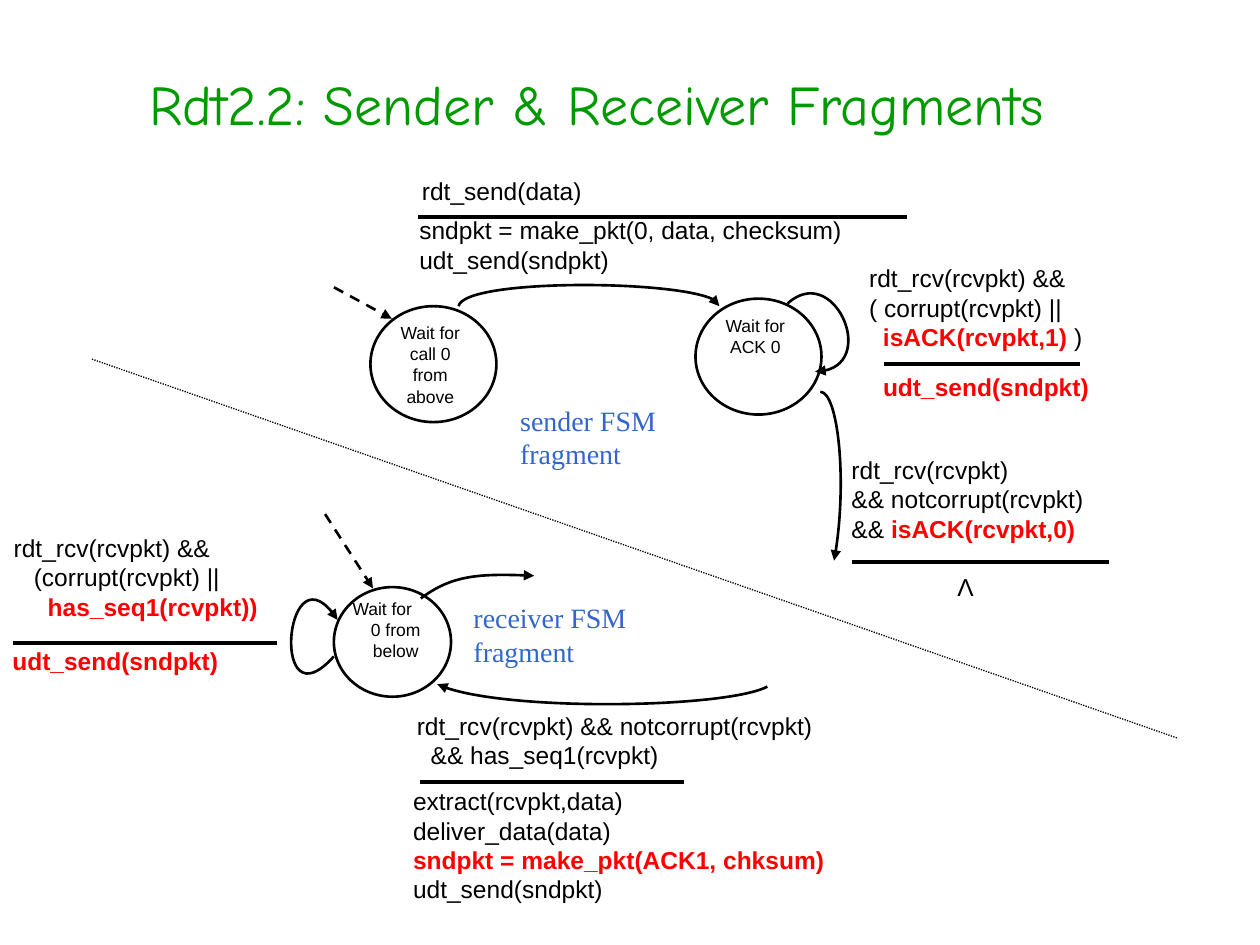
"""Builds the slide on the rdt2.2 sender and receiver state machine fragments."""
import lxml.etree
import pptx
import pptx.dml.color
import pptx.enum.dml
import pptx.enum.shapes
import pptx.enum.text
import pptx.oxml.ns
import pptx.util

Inches = pptx.util.Inches
Pt = pptx.util.Pt
qn = pptx.oxml.ns.qn
ALIGN = pptx.enum.text.PP_ALIGN
DASH = pptx.enum.dml.MSO_LINE
SHAPE = pptx.enum.shapes.MSO_SHAPE

THEME = {
    "ink": "000000", "paper": "FFFFFF", "title": "009900", "accent": "FF0000", "caption": "3366CC",
    "sans": "Arial", "serif": "Times New Roman", "display": "Comic Neue",
    "title_size": 32, "caption_size": 16, "code_size": 14, "state_size": 10,
    "rule": 2.25, "arc": 1.5, "divider": 0.75,
}

TITLE = "Rdt2.2: Sender & Receiver Fragments"

# *starred* text is highlighted; a (text, indent) pair is an indented line
PANELS = [
    ((0.01, 4.18, 2.58, 0.9), ["rdt_rcv(rcvpkt) &&", ("(corrupt(rcvpkt) ||", 0.16),
                               ("*has_seq1(rcvpkt))*", 0.27)]),
    ((0, 5.08, 2.23, 0.45), ["*udt_send(sndpkt)*"]),
]
LABELS = [
    ((3.23, 1.66, 4.07, 0.44), ["sndpkt = make_pkt(0, data, checksum)", "udt_send(sndpkt)"]),
    ((3.25, 1.35, 1.89, 0.31), ["rdt_send(data)"]),
    ((6.91, 2.9, 2.32, 0.44), ["*udt_send(sndpkt)*"]),
    ((6.8, 2.04, 2.97, 0.62), ["rdt_rcv(rcvpkt) &&", "( corrupt(rcvpkt) ||",
                               ("*isACK(rcvpkt,1)* )", 0.11)]),
    ((6.66, 3.56, 2.64, 0.62), ["rdt_rcv(rcvpkt)", "&& notcorrupt(rcvpkt)", "&& *isACK(rcvpkt,0)*"]),
    ((3.21, 5.59, 4.31, 0.62), ["rdt_rcv(rcvpkt) && notcorrupt(rcvpkt)",
                               ("&& has_seq1(rcvpkt)", 0.11)]),
    ((3.18, 6.19, 4.57, 0.76), ["extract(rcvpkt,data)", "deliver_data(data)",
                                "*sndpkt = make_pkt(ACK1, chksum)*", "udt_send(sndpkt)"]),
    ((7.5, 4.49, 0.41, 0.34), ["Λ"]),
]
CAPTIONS = [
    ((4.03, 3.15, 1.29, 0.64), ["sender FSM", "fragment"]),
    ((3.66, 4.72, 1.43, 0.64), ["receiver FSM", "fragment"]),
]
STATES = [
    ((2.94, 2.43, 1, 0.92), (3, 2.51, 0.83, 0.67), ["Wait for call 0 from above"], [ALIGN.CENTER]),
    ((5.52, 2.37, 1, 0.92), (5.58, 2.45, 0.83, 0.67), ["Wait for ACK 0"], [ALIGN.CENTER]),
    ((2.65, 4.66, 0.93, 0.87), (2.7, 4.7, 0.88, 0.67), ["Wait for", "0 from below"],
     [ALIGN.LEFT, ALIGN.CENTER]),
]
RULES = [(3.32, 7.2, 1.72), (7.02, 8.57, 2.89), (6.76, 8.8, 4.46), (3.33, 5.43, 6.21), (0.1, 2.2, 5.1)]
STARTS = [(2.65, 2.28, 3.11, 2.53), (2.58, 4.08, 2.96, 4.67)]
DIVIDER = (0.73, 2.85, 9.35, 5.86)
TRANSITIONS = [
    [(3.64, 2.43), (3.68, 2.21), (5.71, 2.22), (5.71, 2.43)],
    [(6.25, 2.41), (6.61, 2.08), (7, 2.94), (6.47, 2.95)],
    [(6.51, 3.11), (6.65, 3.11), (6.73, 3.85), (6.62, 4.45)],
    [(3.34, 4.75), (3.58, 4.57), (3.82, 4.55), (4.24, 4.57)],
    [(6.09, 5.45), (5.76, 5.62), (3.93, 5.65), (3.47, 5.43)],
    [(2.65, 5.21), (2.15, 5.77), (2.26, 4.28), (2.68, 4.92)],
]


def rgb(name):
    return pptx.dml.color.RGBColor.from_string(THEME[name])


def box(values):
    return [Inches(v) for v in values]


def write(sp, lines, size="code_size", font="sans", color="ink", aligns=(ALIGN.LEFT,),
          anchor=pptx.enum.text.MSO_ANCHOR.TOP, wrap=True):
    tf = sp.text_frame
    tf.word_wrap = wrap
    tf.vertical_anchor = anchor
    for i, line in enumerate(lines):
        text, indent = line if isinstance(line, tuple) else (line, 0)
        p = tf.paragraphs[0] if i == 0 else tf.add_paragraph()
        if indent:
            p._p.get_or_add_pPr().set("marL", str(Inches(indent)))
        p.alignment = aligns[min(i, len(aligns) - 1)]
        for j, part in enumerate(text.split("*")):
            if part:
                r = p.add_run()
                r.text = part
                r.font.name = THEME[font]
                r.font.size = Pt(THEME[size])
                r.font.bold = j % 2 == 1
                r.font.color.rgb = rgb("accent" if j % 2 else color)


def outline(sp, width, dash=None, arrow=False):
    sp.line.color.rgb = rgb("ink")
    sp.line.width = Pt(THEME[width])
    if dash:
        sp.line.dash_style = dash
    if arrow:
        lxml.etree.SubElement(sp.line._get_or_add_ln(), qn("a:tailEnd"), type="triangle")


def add_line(s, ends, width, **style):
    sp = s.shapes.add_connector(pptx.enum.shapes.MSO_CONNECTOR.STRAIGHT, *box(ends))
    outline(sp, width, **style)
    lxml.etree.SubElement(sp._element.spPr, qn("a:effectLst"))


def add_filled(shapes, kind, place):
    sp = shapes.add_shape(kind, *box(place))
    sp.shadow.inherit = False
    sp.fill.solid()
    sp.fill.fore_color.rgb = rgb("paper")
    return sp


def add_curve(s, points):
    start, *rest = [tuple(box(point)) for point in points]
    builder = s.shapes.build_freeform(*start)
    builder.add_line_segments(rest, close=False)
    sp = builder.convert_to_shape()
    sp.shadow.inherit = False
    sp.fill.background()
    outline(sp, "arc", arrow=True)
    segments = list(sp._element.iter(qn("a:lnTo")))
    bezier = lxml.etree.SubElement(segments[0].getparent(), qn("a:cubicBezTo"))
    for segment in segments:
        bezier.append(segment[0])
        segment.getparent().remove(segment)


def main():
    prs = pptx.Presentation()
    prs.slide_width, prs.slide_height = Inches(10), Inches(7.5)
    s = prs.slides.add_slide(prs.slide_layouts[5])

    for place, lines in PANELS:
        sp = add_filled(s.shapes, SHAPE.RECTANGLE, place)
        sp.line.fill.background()
        write(sp, lines)

    title = s.shapes.title
    title.left, title.top, title.width, title.height = box((0.49, 0.19, 8.5, 1.25))
    write(title, [TITLE], size="title_size", font="display", color="title",
          aligns=[ALIGN.CENTER], anchor=pptx.enum.text.MSO_ANCHOR.MIDDLE)

    for circle, place, lines, aligns in STATES:
        group = s.shapes.add_group_shape()
        outline(add_filled(group.shapes, SHAPE.OVAL, circle), "arc")
        write(group.shapes.add_textbox(*box(place)), lines, size="state_size", aligns=aligns)
    for place, lines in LABELS:
        write(s.shapes.add_textbox(*box(place)), lines)
    for place, lines in CAPTIONS:
        write(s.shapes.add_textbox(*box(place)), lines, size="caption_size", font="serif",
              color="caption", wrap=False)

    for left, right, y in RULES:
        add_line(s, (left, y, right, y), "rule")
    for ends in STARTS:
        add_line(s, ends, "arc", dash=DASH.DASH, arrow=True)
    add_line(s, DIVIDER, "divider", dash=DASH.ROUND_DOT)
    for points in TRANSITIONS:
        add_curve(s, points)
    prs.save("out.pptx")


if __name__ == "__main__":
    main()
